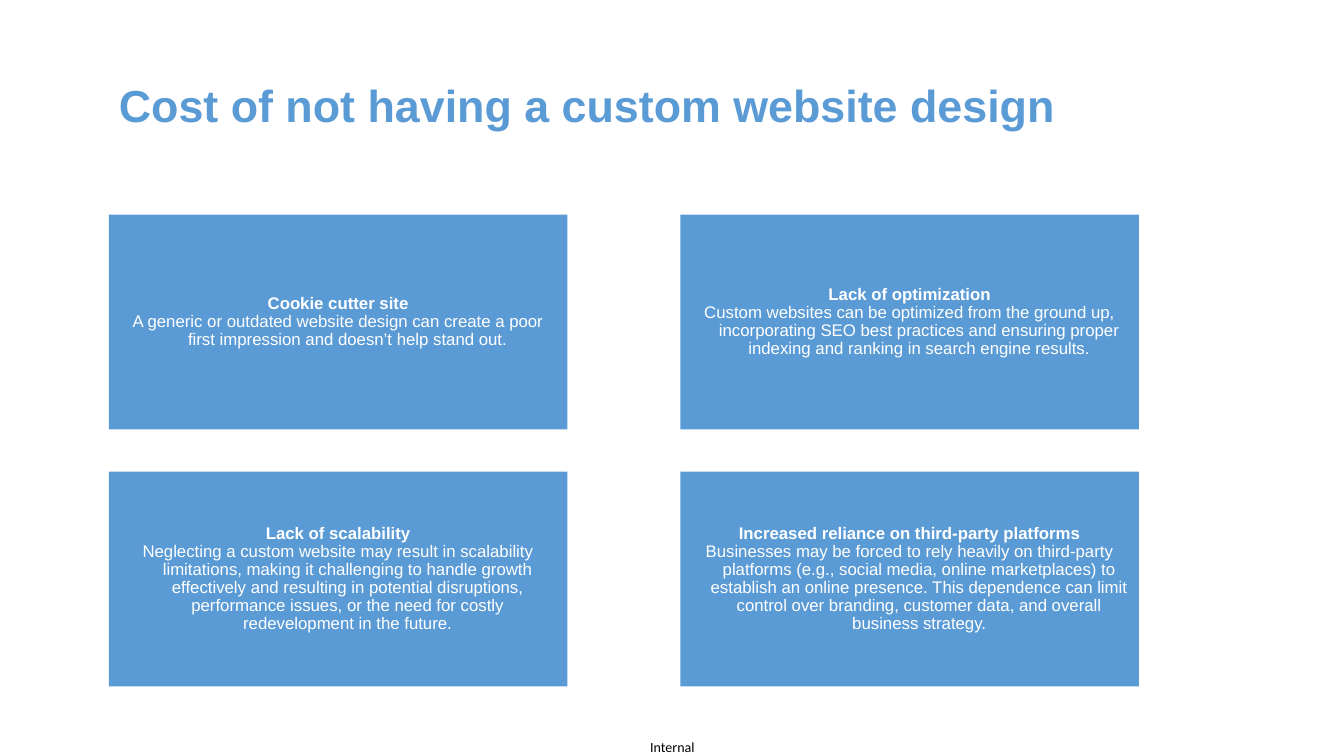
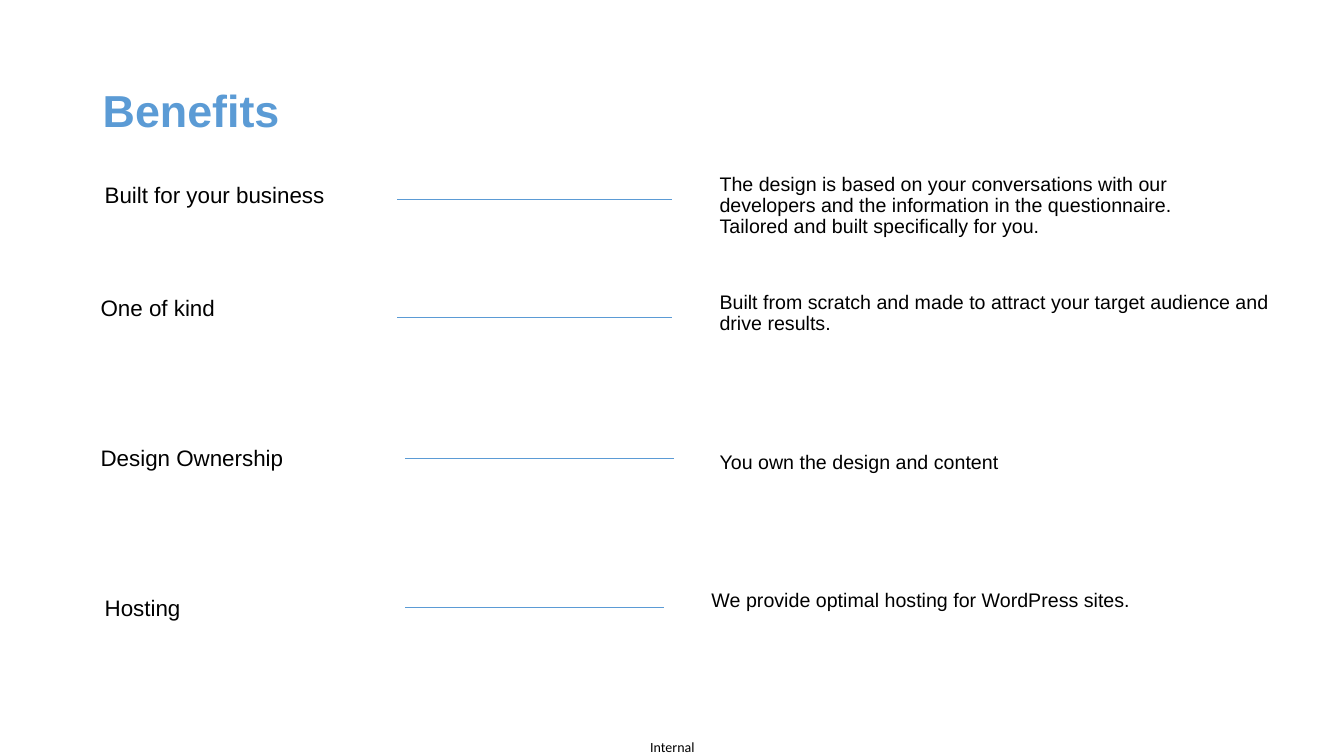
import dataclasses

import pptx
import pptx.dml.color
import pptx.enum.shapes
import pptx.enum.text
import pptx.oxml.ns
import pptx.util
from lxml import etree

BLUE, WHITE, BLACK = "5B9BD5", "FFFFFF", "000000"
ANCHOR = pptx.enum.text.MSO_ANCHOR
ALIGN = pptx.enum.text.PP_ALIGN

COSTS = [
    ("Cookie cutter site",
     "A generic or outdated website design can create a poor first impression "
     "and doesn’t help stand out."),
    ("Lack of optimization",
     "Custom websites can be optimized from the ground up, incorporating SEO "
     "best practices and ensuring proper indexing and ranking in search engine results."),
    ("Lack of scalability",
     "Neglecting a custom website may result in scalability limitations, making "
     "it challenging to handle growth effectively and resulting in potential "
     "disruptions, performance issues, or the need for costly redevelopment in the future."),
    ("Increased reliance on third-party platforms",
     "Businesses may be forced to rely heavily on third-party platforms (e.g., "
     "social media, online marketplaces) to establish an online presence. This "
     "dependence can limit control over branding, customer data, and overall "
     "business strategy."),
]


@dataclasses.dataclass
class Box:
    left: float
    top: float
    width: float
    height: float

    def inner(self, left, top, width, height):
        """Return a box inside this one; lengths are percentages of this one."""
        return Box(self.left + self.width * left / 100,
                   self.top + self.height * top / 100,
                   self.width * width / 100, self.height * height / 100)

    def emu(self):
        return [int(length) for length in
                (self.left, self.top, self.width, self.height)]


@dataclasses.dataclass
class Benefit:
    """One row; places are percentages of the row's box."""
    row_top: float
    label: str
    label_left: float
    rule: tuple
    rule_top: float
    detail: str
    detail_left: float
    detail_top: float
    detail_width: float = 43.13


BENEFITS = [
    Benefit(23.73, "Built for your business", 7.05, (29.55, 50.03), 26.7,
            "The design is based on your conversations with our developers and "
            "the information in the questionnaire. Tailored and built "
            "specifically for you.", 52.8, -13.3, 39.75),
    Benefit(38.67, "One of kind", 6.75, (29.55, 50.03), 33.3,
            "Built from scratch and made to attract your target audience and "
            "drive results.", 52.8, -6.7),
    Benefit(58.53, "Design Ownership", 6.75, (30.15, 50.18), 21.4,
            "You own the design and content", 52.8, 6.7),
    Benefit(78.4, "Hosting", 7.05, (30.15, 49.43), 20,
            "We provide optimal hosting for WordPress sites.", 52.2, -9.3),
]


def colour(hex_string):
    return pptx.dml.color.RGBColor.from_string(hex_string)


def style(paragraph, size, ink, bold=False, face="Arial", spacing=0.9):
    paragraph.line_spacing = spacing
    font = paragraph.font
    font.name, font.size, font.bold = face, pptx.util.Pt(size), bold
    font.color.rgb = colour(ink)


def add_text(slide, box, text, size, ink=BLACK, anchor=ANCHOR.TOP, **look):
    frame = slide.shapes.add_textbox(*box.emu()).text_frame
    frame.word_wrap = True
    frame.vertical_anchor = anchor
    frame.text = text
    style(frame.paragraphs[0], size, ink, **look)
    return frame


def add_title(slide, box, text):
    add_text(slide, box, text, 32, BLUE, ANCHOR.MIDDLE, bold=True)


def add_footer(slide, page):
    frame = add_text(slide, page.inner(48.38, 97.73, 3.83, 2.27), "Internal",
                     10, face="Calibri", spacing=1.0)
    frame.word_wrap = False
    frame.margin_left = frame.margin_right = 0
    frame.margin_top = frame.margin_bottom = 0


def add_card(slide, box, heading, body):
    card = slide.shapes.add_shape(
        pptx.enum.shapes.MSO_SHAPE.RECTANGLE, *box.emu())
    card.shadow.inherit = False
    card.fill.solid()
    card.fill.fore_color.rgb = colour(BLUE)
    card.line.fill.background()
    frame = card.text_frame
    frame.word_wrap = True
    frame.vertical_anchor = ANCHOR.MIDDLE
    frame.text = f"{heading}\n{body}"
    hang = pptx.util.Inches(0.19)
    for paragraph, bold in zip(frame.paragraphs, (True, False)):
        paragraph.alignment = ALIGN.CENTER
        properties = paragraph._p.get_or_add_pPr()
        properties.set("marL", str(hang))
        properties.set("indent", str(-hang))
        style(paragraph, 12, WHITE, bold)


def add_card_grid(slide, box, cards, columns=2):
    width, height = 44.52, 45.51
    for index, (heading, body) in enumerate(cards):
        row, column = divmod(index, columns)
        place = box.inner(column * (100 - width), row * (100 - height), width, height)
        add_card(slide, place, heading, body)


def add_rule(slide, box):
    left, top, width, _ = box.emu()
    rule = slide.shapes.add_connector(
        pptx.enum.shapes.MSO_CONNECTOR.STRAIGHT, left, top, left + width, top)
    rule.line.color.rgb = colour(BLUE)
    rule.line.width = pptx.util.Pt(0.5)
    etree.SubElement(rule._element.spPr, pptx.oxml.ns.qn("a:effectLst"))


def add_benefit(slide, box, benefit):
    start, end = benefit.rule
    add_text(slide, box.inner(benefit.label_left, 0, 22, 76), benefit.label, 16)
    add_rule(slide, box.inner(start, benefit.rule_top, end - start, 0))
    add_text(slide, box.inner(benefit.detail_left, benefit.detail_top,
                              benefit.detail_width, 96), benefit.detail, 14)


def build_costs(slide, page):
    add_title(slide, page.inner(8.1, 4.67, 86.25, 19.33),
              "Cost of not having a custom website design")
    add_card_grid(slide, page.inner(8.1, 28.4, 76.65, 62.4), COSTS)


def build_benefits(slide, page):
    add_title(slide, page.inner(6.9, 5.33, 86.25, 19.33), "Benefits")
    for benefit in BENEFITS:
        add_benefit(slide, page.inner(0, benefit.row_top, 100, 10), benefit)


def main():
    deck = pptx.Presentation()
    deck.slide_width = pptx.util.Inches(13.33)
    deck.slide_height = pptx.util.Inches(7.5)
    page = Box(0, 0, deck.slide_width, deck.slide_height)
    for build in (build_costs, build_benefits):
        slide = deck.slides.add_slide(deck.slide_layouts[6])
        add_footer(slide, page)
        build(slide, page)
    deck.save("out.pptx")


if __name__ == "__main__":
    main()
